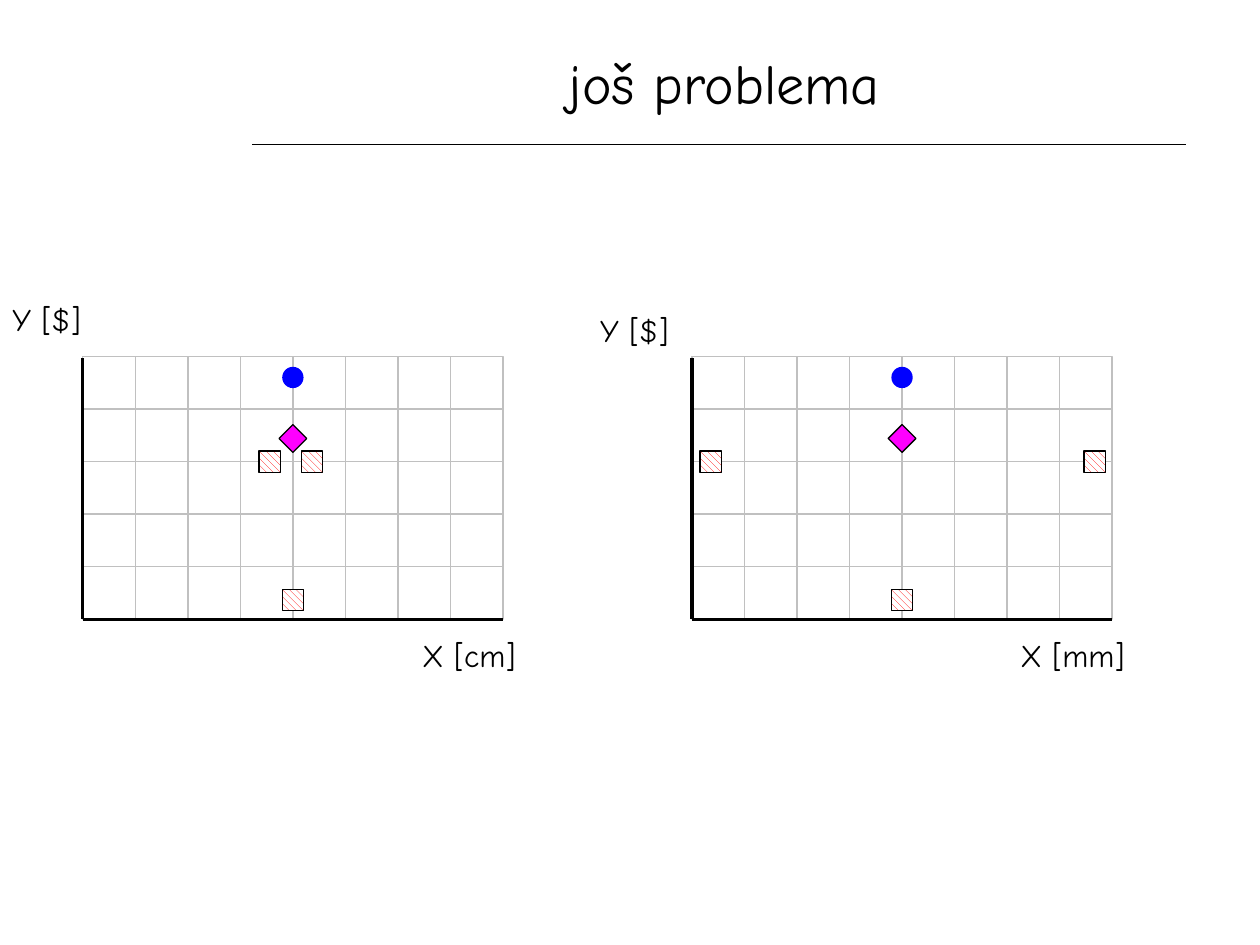
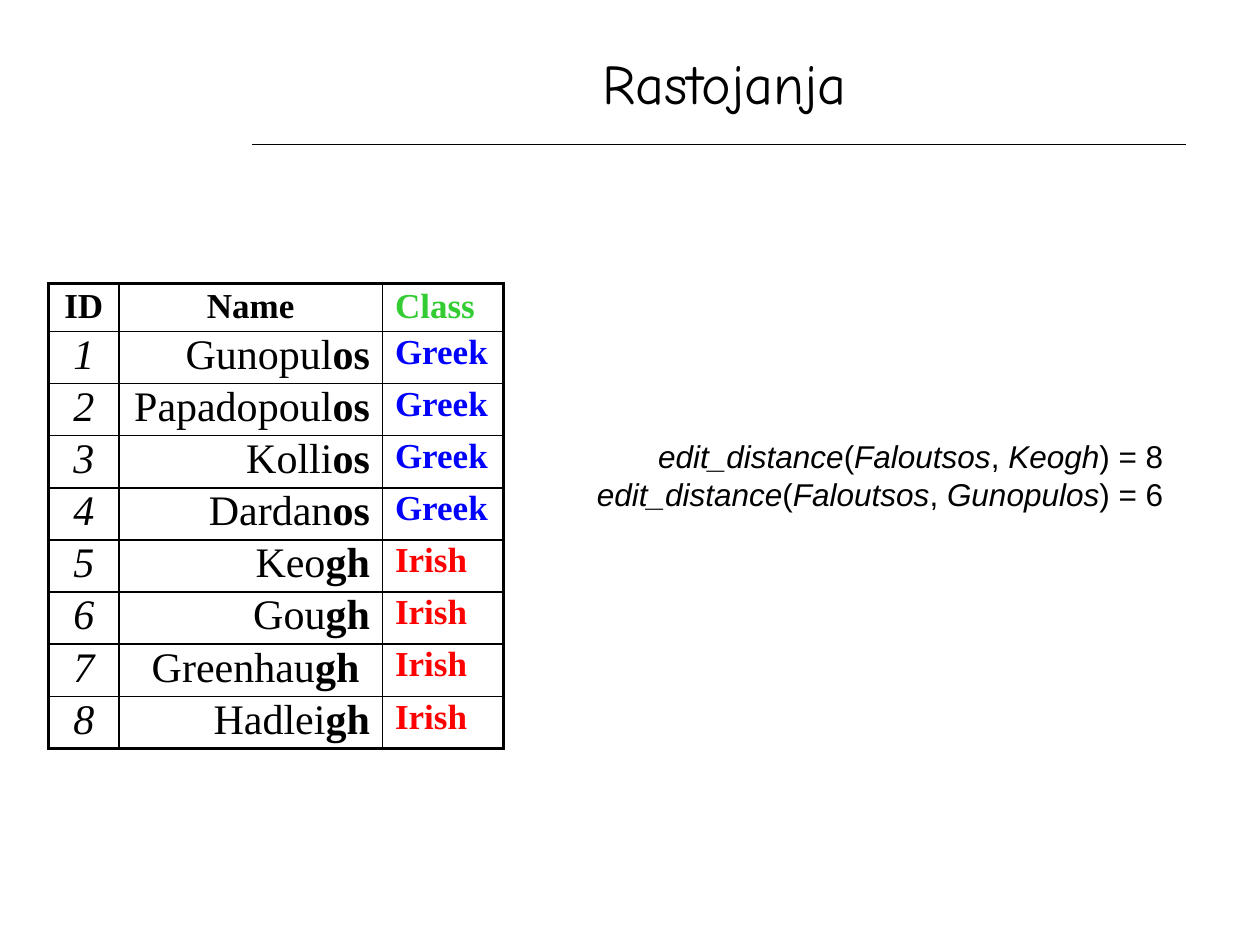
from pptx import Presentation
from pptx.dml.color import RGBColor
from pptx.enum.dml import MSO_PATTERN
from pptx.enum.shapes import MSO_CONNECTOR, MSO_SHAPE
from pptx.enum.text import MSO_ANCHOR, MSO_AUTO_SIZE, PP_ALIGN
from pptx.oxml.ns import qn
from pptx.util import Cm, Pt
from lxml.etree import SubElement

COLORS = {
    "ink": "000000", "paper": "FFFFFF", "grid": "C0C0C0", "blue": "0000FF",
    "pink": "FF00FF", "red": "FF0000", "green": "33CC33",
}
HAND, SERIF, SANS = "Comic Neue", "Times New Roman", "Arial"
LEFT, MID, RIGHT = PP_ALIGN.LEFT, PP_ALIGN.CENTER, PP_ALIGN.RIGHT

COLS, ROWS = 8, 5
WIDE, HIGH = 8.47, 5.29
DOT, GEM = 0.43, 0.56

TINT = {"Greek": "blue", "Irish": "red"}
NAMES = [
    ("Gunopul", "os", "Greek"), ("Papadopoul", "os", "Greek"),
    ("Kolli", "os", "Greek"), ("Dardan", "os", "Greek"),
    ("Keo", "gh", "Irish"), ("Gou", "gh", "Irish"),
    ("Greenhau", "gh ", "Irish"), ("Hadlei", "gh", "Irish"),
]


def rgb(name):
    return RGBColor.from_string(COLORS[name])


def write(frame, *lines, font=HAND, size=18, color="ink", align=LEFT, space=None):
    """Each line is a list of (text, style); style may hold b and i."""
    for n, line in enumerate(lines):
        para = frame.add_paragraph() if n else frame.paragraphs[0]
        para.alignment = align
        if space:
            para.line_spacing = space
        for text, style in line:
            run = para.add_run()
            run.text = text
            run.font.name, run.font.size = font, Pt(size)
            run.font.bold, run.font.italic = "b" in style, "i" in style
            run.font.color.rgb = rgb(color)


def add_box(slide, x, y, wide, high, *lines, **style):
    frame = slide.shapes.add_textbox(Cm(x), Cm(y), Cm(wide), Cm(high)).text_frame
    frame.word_wrap = True
    write(frame, *lines, **style)
    return frame


def add_line(shapes, x1, y1, x2, y2, width):
    line = shapes.add_connector(MSO_CONNECTOR.STRAIGHT, Cm(x1), Cm(y1), Cm(x2), Cm(y2))
    line.line.color.rgb = rgb("ink")
    line.line.width = Pt(width)
    SubElement(line.element.spPr, qn("a:effectLst"))
    return line


def add_shape(shapes, kind, x, y, wide, high, fill=None, line=None, width=0.75):
    shape = shapes.add_shape(kind, Cm(x), Cm(y), Cm(wide), Cm(high))
    shape.shadow.inherit = False
    if fill:
        shape.fill.solid()
        shape.fill.fore_color.rgb = rgb(fill)
    else:
        shape.fill.background()
    if line:
        shape.line.color.rgb = rgb(line)
        shape.line.width = Pt(width)
    else:
        shape.line.fill.background()
    return shape


def add_mark(shapes, kind, x, y, size, **style):
    """Draw a marker centred on x, y."""
    return add_shape(shapes, kind, x - size / 2, y - size / 2, size, size, **style)


def add_hatch(shapes, x, y):
    fill = add_mark(shapes, MSO_SHAPE.RECTANGLE, x, y, DOT, line="ink").fill
    fill.patterned()
    fill.pattern = MSO_PATTERN.WIDE_DOWNWARD_DIAGONAL
    fill.fore_color.rgb, fill.back_color.rgb = rgb("red"), rgb("paper")


def add_plot(slide, x, y, pair):
    """Draw a grid with its axes and markers; pair holds the x of the two side squares."""
    shapes = slide.shapes.add_group_shape().shapes
    step, rise = WIDE / COLS, HIGH / ROWS
    for row in reversed(range(ROWS)):
        for col in range(COLS):
            add_shape(shapes, MSO_SHAPE.RECTANGLE, x + col * step, y + row * rise,
                      step, rise, line="grid", width=0)
    base, axis = y + HIGH, x + WIDE / 2
    add_line(shapes, x, base, x + WIDE, base, 1.75)
    add_line(shapes, x, base, x, y + 0.03, 1.75)
    add_mark(shapes, MSO_SHAPE.OVAL, axis, y + 0.42, DOT, fill="blue")
    add_mark(shapes, MSO_SHAPE.DIAMOND, axis, y + 1.65, GEM, fill="pink", line="ink")
    for side in pair:
        add_hatch(shapes, x + side, y + 2.12)
    add_hatch(shapes, axis, y + 4.91)


def add_label(slide, x, y, text):
    add_box(slide, x, y, 3.18, 1.27, [(text, "")])


def set_edges(cell, **widths):
    props = cell._tc.get_or_add_tcPr()
    for side in "LRTB":
        edge = SubElement(props, qn("a:ln" + side), w=str(Pt(widths[side])))
        fill = SubElement(edge, qn("a:solidFill"))
        SubElement(fill, qn("a:srgbClr"), val=COLORS["ink"])
    cell.fill.background()


def add_table(slide, x, y, widths, head, rise):
    count = len(NAMES) + 1
    high = head + rise * len(NAMES)
    table = slide.shapes.add_table(count, len(widths), Cm(x), Cm(y),
                                   Cm(sum(widths)), Cm(high)).table
    table.first_row = table.horz_banding = False
    for col, width in zip(table.columns, widths):
        col.width = Cm(width)
    for n, row in enumerate(table.rows):
        row.height = Cm(rise if n else head)

    heads = [("ID", MID, "ink"), ("Name", MID, "ink"), ("Class", LEFT, "green")]
    for col, (text, align, color) in enumerate(heads):
        write(table.cell(0, col).text_frame, [(text, "b")], font=SERIF, size=20,
              color=color, align=align, space=0.9)
    for n, (stem, end, kind) in enumerate(NAMES, 1):
        cells = [
            ([(str(n), "i")], 24, "ink", MID),
            ([(stem, ""), (end, "b")], 24, "ink", RIGHT),
            ([(kind, "b")], 20, TINT[kind], LEFT),
        ]
        for col, (line, size, color, align) in enumerate(cells):
            write(table.cell(n, col).text_frame, line, font=SERIF, size=size,
                  color=color, align=align, space=0.85)

    last = len(widths) - 1
    for n in range(count):
        for col in range(len(widths)):
            outer = {"L": col == 0, "R": col == last, "T": n == 0, "B": n == count - 1}
            set_edges(table.cell(n, col),
                      **{side: 2.25 if out else 1 for side, out in outer.items()})


def add_slide(deck, title):
    slide = deck.slides.add_slide(deck.slide_layouts[5])
    head = slide.shapes.title
    head.left, head.top, head.width, head.height = Cm(5.08), Cm(0.71), Cm(19.05), Cm(1.9)
    head.text_frame.vertical_anchor = MSO_ANCHOR.MIDDLE
    write(head.text_frame, [(title, "")], size=32, align=MID)
    return slide


def share_rule(slide):
    """Put the line under the title on the layout, so that every slide shows it."""
    rule = add_line(slide.shapes, 5.08, 2.91, 23.9, 2.91, 0.75)
    slide.slide_layout.shapes.element.append(rule.element)


def call(first, second, value):
    return [("edit_distance", "i"), ("(", ""), (first, "i"), (", ", ""),
            (second, "i"), (f") = {value}", "")]


def main():
    deck = Presentation()
    deck.slide_width, deck.slide_height = Cm(25.4), Cm(19.05)

    slide = add_slide(deck, "još problema")
    share_rule(slide)
    add_plot(slide, 1.67, 7.19, (3.77, 4.62))
    add_plot(slide, 13.95, 7.19, (0.38, 8.12))
    add_label(slide, 8.26, 12.7, "X [cm]")
    add_label(slide, 0, 5.93, "Y [$]")
    add_label(slide, 20.32, 12.7, "X [mm]")
    add_label(slide, 11.85, 6.14, "Y [$]")

    slide = add_slide(deck, "Rastojanja")
    add_table(slide, 0.98, 5.72, (1.42, 5.31, 2.44), 0.95, 1.05)
    frame = add_box(slide, 11, 8.69, 12.7, 1.8, call("Faloutsos", "Keogh", 8),
                    call("Faloutsos", "Gunopulos", 6), font=SANS, align=RIGHT)
    frame.auto_size = MSO_AUTO_SIZE.SHAPE_TO_FIT_TEXT

    deck.save("out.pptx")


if __name__ == "__main__":
    main()
